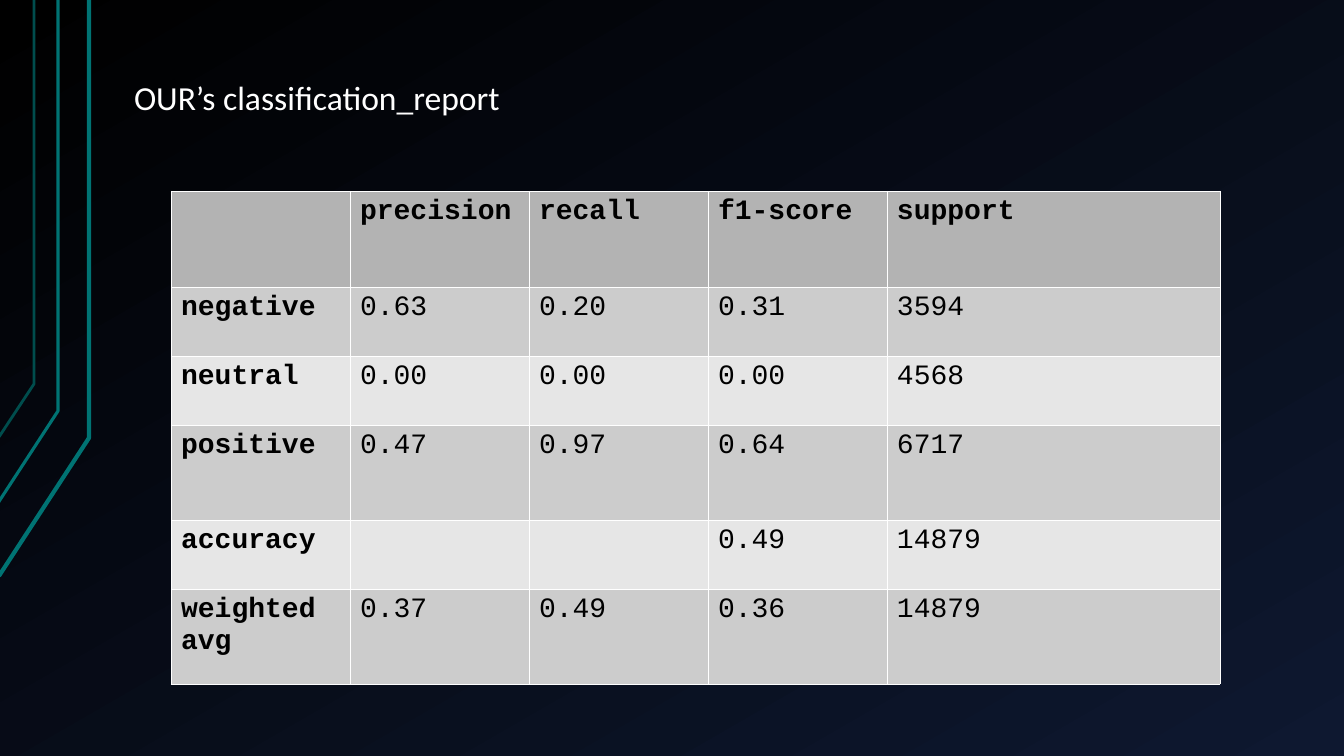
from dataclasses import dataclass

from lxml.etree import SubElement
from pptx import Presentation
from pptx.dml.color import RGBColor
from pptx.enum.text import MSO_ANCHOR, PP_ALIGN
from pptx.oxml.ns import qn
from pptx.slide import Slide
from pptx.table import _Cell
from pptx.util import Emu, Pt

EMU_PER_PX = 914400 / 100.8
COLORS = {
    "black": "000000",
    "navy": "0E1830",
    "white": "FFFFFF",
    "teal": "007373",
    "dark teal": "004D4D",
    "header": "B3B3B3",
    "odd row": "CCCCCC",
    "even row": "E6E6E6",
}
COLUMN_WIDTHS = [179, 179, 179, 179, 333]
ROW_HEIGHTS = [96, 69, 69, 95, 69, 95]
REPORT = [
    ["", "precision", "recall", "f1-score", "support"],
    ["negative", "0.63", "0.20", "0.31", "3594"],
    ["neutral", "0.00", "0.00", "0.00", "4568"],
    ["positive", "0.47", "0.97", "0.64", "6717"],
    ["accuracy", "", "", "0.49", "14879"],
    ["weighted avg", "0.37", "0.49", "0.36", "14879"],
]


@dataclass
class Stripe:
    """A line from the left edge up to a bend, then straight to the top."""
    left: int
    bottom: int
    bend_x: int
    bend_y: int
    color: str
    weight: float


STRIPES = [
    Stripe(-1, 576, 89, 438, "teal", 3),
    Stripe(-2, 503, 58, 411, "teal", 2.25),
    Stripe(-1, 437, 34, 384, "dark teal", 2),
]


def px(length: int) -> Emu:
    return Emu(round(length * EMU_PER_PX))


def rgb(name: str) -> RGBColor:
    return RGBColor.from_string(COLORS[name])


def paint_background(page: Slide) -> None:
    fill = page.background.fill
    fill.gradient()
    fill.gradient_angle = 300
    for stop, name in zip(fill.gradient_stops, ["black", "navy"]):
        stop.color.rgb = rgb(name)


def draw_stripe(page: Slide, stripe: Stripe) -> None:
    builder = page.shapes.build_freeform(stripe.left, stripe.bottom, EMU_PER_PX)
    builder.add_line_segments(
        [(stripe.bend_x, stripe.bend_y), (stripe.bend_x, 0)], close=False
    )
    shape = builder.convert_to_shape()
    shape.shadow.inherit = False
    shape.fill.background()
    shape.line.color.rgb = rgb(stripe.color)
    shape.line.width = Pt(stripe.weight)


def write_title(page: Slide, text: str) -> None:
    title = page.shapes.title
    title.left, title.top, title.width, title.height = map(px, (134, 30, 1142, 135))
    frame = title.text_frame
    frame.margin_left = frame.margin_right = 0
    frame.margin_top = frame.margin_bottom = 0
    frame.vertical_anchor = MSO_ANCHOR.MIDDLE
    frame.text = text
    para = frame.paragraphs[0]
    para.alignment = PP_ALIGN.LEFT
    para.font.name = "Calibri"
    para.font.size = Pt(24)
    para.font.color.rgb = rgb("white")


def set_borders(cell: _Cell) -> None:
    """Give all four sides a white hairline; call before filling the cell."""
    properties = cell._tc.get_or_add_tcPr()
    for side in ("a:lnL", "a:lnR", "a:lnT", "a:lnB"):
        line = SubElement(properties, qn(side), w=str(Pt(0.06)))
        solid = SubElement(line, qn("a:solidFill"))
        SubElement(solid, qn("a:srgbClr"), val=COLORS["white"])


def fill_cell(cell: _Cell, text: str, color: str, bold: bool) -> None:
    set_borders(cell)
    cell.fill.solid()
    cell.fill.fore_color.rgb = rgb(color)
    cell.text = text
    font = cell.text_frame.paragraphs[0].font
    font.name = "Courier New"
    font.size = Pt(20)
    font.bold = bold
    font.color.rgb = rgb("black")


def draw_report(page: Slide) -> None:
    frame = page.shapes.add_table(
        len(REPORT), len(COLUMN_WIDTHS), px(171), px(191),
        px(sum(COLUMN_WIDTHS)), px(sum(ROW_HEIGHTS)),
    )
    table = frame.table
    for column, width in zip(table.columns, COLUMN_WIDTHS):
        column.width = px(width)
    for row, height in zip(table.rows, ROW_HEIGHTS):
        row.height = px(height)
    for i, values in enumerate(REPORT):
        color = "header" if i == 0 else "odd row" if i % 2 else "even row"
        for j, value in enumerate(values):
            fill_cell(table.cell(i, j), value, color, bold=i == 0 or j == 0)


def main() -> None:
    deck = Presentation()
    deck.slide_width, deck.slide_height = px(1344), px(756)
    title_only = deck.slide_layouts.get_by_name("Title Only")
    page = deck.slides.add_slide(title_only)
    paint_background(page)
    for stripe in STRIPES:
        draw_stripe(page, stripe)
    write_title(page, "OUR’s classification_report")
    draw_report(page)
    deck.save("out.pptx")


if __name__ == "__main__":
    main()
